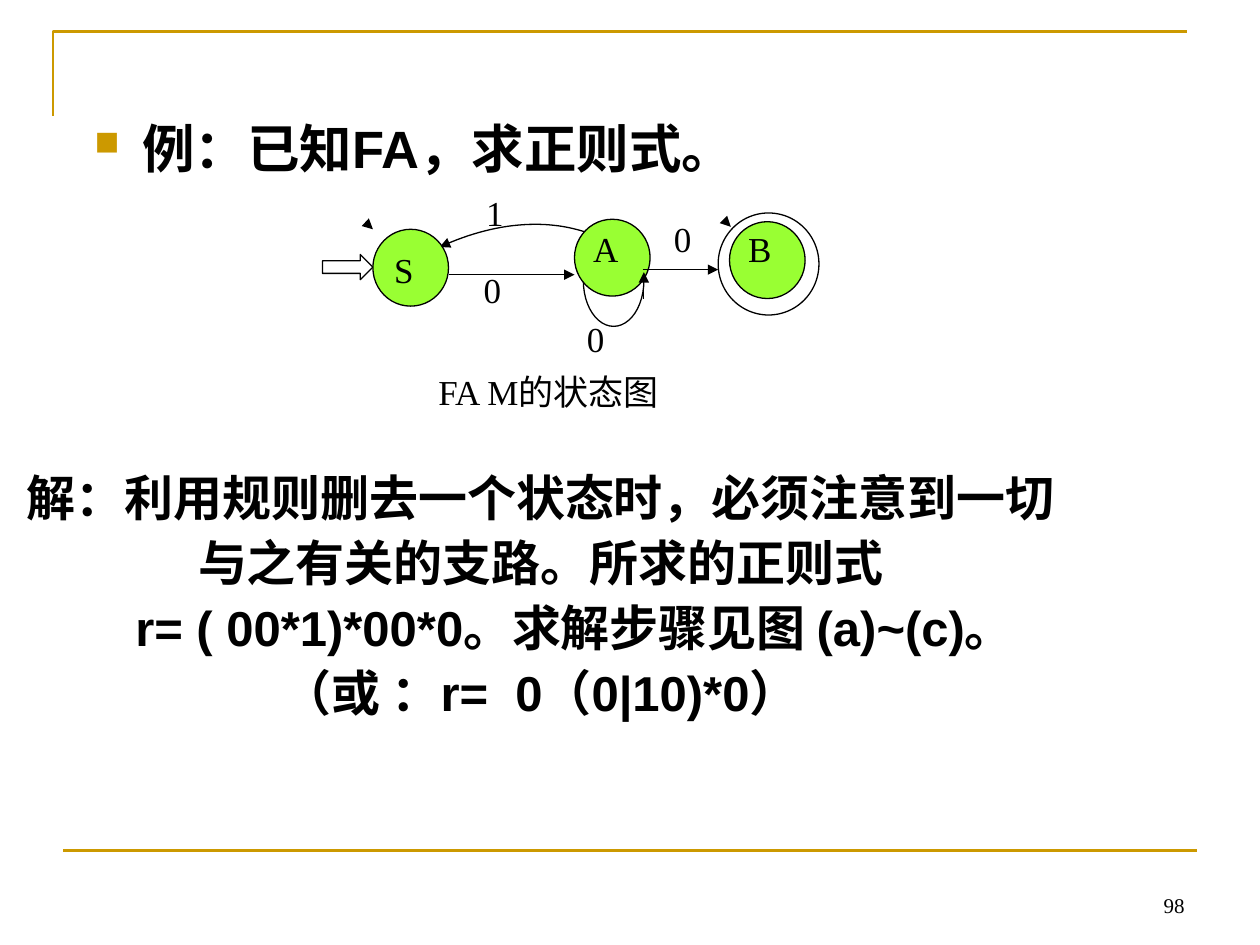
from pptx import Presentation
from pptx.dml.color import RGBColor
from pptx.enum.shapes import MSO_CONNECTOR, MSO_SHAPE
from pptx.enum.text import MSO_ANCHOR, PP_ALIGN
from pptx.oxml.ns import qn
from pptx.util import Inches, Pt
from lxml import etree

STRAIGHT = MSO_CONNECTOR.STRAIGHT
OVAL, BLOCK_ARROW = MSO_SHAPE.OVAL, MSO_SHAPE.RIGHT_ARROW
TOP, MIDDLE, BOTTOM = MSO_ANCHOR.TOP, MSO_ANCHOR.MIDDLE, MSO_ANCHOR.BOTTOM
LEFT, CENTER, RIGHT = PP_ALIGN.LEFT, PP_ALIGN.CENTER, PP_ALIGN.RIGHT
BLACK = RGBColor(0x00, 0x00, 0x00)
WHITE = RGBColor(0xFF, 0xFF, 0xFF)
GOLD = RGBColor(0xCC, 0x99, 0x00)
GREEN = RGBColor(0x99, 0xFF, 0x33)

presentation = Presentation()
presentation.slide_width, presentation.slide_height = Inches(10), Inches(7.5)
slide = presentation.slides.add_slide(presentation.slide_layouts[6])
shapes = slide.shapes
UNIT = presentation.slide_width / 100  # the slide is a grid of 100 columns by 75 rows


def add_text(text, box, size=20, font="Times New Roman", bold=False, align=LEFT,
             anchor=TOP, spacing=None, inset=1):
    """Write one paragraph for each line of text; box is in grid units."""
    frame = shapes.add_textbox(*[int(value * UNIT) for value in box]).text_frame
    frame.word_wrap = True
    frame.vertical_anchor = anchor
    frame.margin_left = frame.margin_right = int(inset * UNIT)
    frame.margin_top = frame.margin_bottom = int(inset / 2 * UNIT)
    for index, line in enumerate(text.split("\n")):
        paragraph = frame.add_paragraph() if index else frame.paragraphs[0]
        paragraph.alignment = align
        paragraph.line_spacing = spacing
        run = paragraph.add_run()
        run.text = line
        run.font.name, run.font.size, run.font.bold = font, Pt(size), bold
        run.font.color.rgb = BLACK
    return frame


def finish(shape, color=BLACK, width=0.75, arrow=False):
    """Set the line, with an arrowhead at its end if wanted, and drop the shadow."""
    shape.line.color.rgb = color
    shape.line.width = Pt(width)
    properties = shape._element.spPr
    if arrow:
        etree.SubElement(properties.find(qn("a:ln")), qn("a:tailEnd"), type="triangle")
    etree.SubElement(properties, qn("a:effectLst"))


# Frame, and the curved transition from A back to S
start, control_1, control_2, end = (48.1, 19.1), (44.4, 17.2), (39.7, 17.4), (34.9, 19.6)
STEPS = 32
curve = []
for step in range(STEPS + 1):
    t = step / STEPS
    curve.append([(1 - t) ** 3 * a + 3 * (1 - t) ** 2 * t * b + 3 * (1 - t) * t ** 2 * c + t ** 3 * d
                  for a, b, c, d in zip(start, control_1, control_2, end)])
corner = [(4.2, 9.2), (4.2, 2.5), (94.2, 2.5)]
for points, color, width, arrow in [(corner, GOLD, 1.5, False), (curve, BLACK, 0.75, True)]:
    points = [(int(x * UNIT), int(y * UNIT)) for x, y in points]
    builder = shapes.build_freeform(*points[0])
    builder.add_line_segments(points[1:], close=False)
    outline = builder.convert_to_shape()
    outline.fill.background()
    finish(outline, color, width, arrow)

# States, from back to front: loop of A, entry arrow, S, A, ring of B, B
for kind, box, fill in [
    (OVAL, (46.3, 18.7, 4.8, 7.2), WHITE),
    (BLOCK_ARROW, (25.6, 20.2, 4, 2), WHITE),
    (OVAL, (29.6, 18.2, 6, 6.1), GREEN),
    (OVAL, (45.6, 17.4, 6, 6.1), GREEN),
    (OVAL, (57, 16.9, 8, 8.1), WHITE),
    (OVAL, (57.9, 17.6, 6, 6.1), GREEN),
]:
    state = shapes.add_shape(kind, *[int(value * UNIT) for value in box])
    state.fill.solid()
    state.fill.fore_color.rgb = fill
    finish(state)

# Bottom rule, transitions, and the two arrowheads touching S and B
for ends, color, width, arrow in [
    ((5, 67.5, 95, 67.5), GOLD, 1.5, False),
    ((51, 21.4, 57, 21.4), BLACK, 0.75, True),
    ((35.6, 21.8, 45.6, 21.8), BLACK, 0.75, True),
    ((51.1, 23.7, 51.1, 21.6), BLACK, 0.75, True),
    ((29.55, 18.15, 29.6, 18.2), BLACK, 0.75, True),
    ((57.95, 17.95, 58, 18), BLACK, 0.75, True),
]:
    line = shapes.add_connector(STRAIGHT, *[int(value * UNIT) for value in ends])
    finish(line, color, width, arrow)

# State names, transition labels and caption
for text, box in [
    ("S", (30.3, 19.2, 6, 6.1)),
    ("A", (46.1, 17.6, 8, 6.1)),
    ("B", (58.4, 17.6, 6, 6.1)),
    ("1", (37.6, 14.7, 6.1, 3)),
    ("0", (37.4, 20.8, 6.2, 3)),
    ("0", (52.5, 16.8, 6.2, 6.1)),
    ("0", (45.6, 24.7, 6.2, 6.1)),
    ("FA M的状态图", (33.8, 28.9, 29.9, 6.5)),
]:
    add_text(text, box)

# Example with its square bullet
example = add_text("例：已知FA，求正则式。", (7.5, 9.2, 90, 49.5),
                   size=30, font="Arial", bold=True, inset=0)
bullet = example.paragraphs[0]._p.get_or_add_pPr()
bullet.set("marL", str(Inches(0.38)))
bullet.set("indent", str(-Inches(0.38)))
bullet_color = etree.SubElement(bullet, qn("a:buClr"))
etree.SubElement(bullet_color, qn("a:srgbClr"), val=str(GOLD))
etree.SubElement(bullet, qn("a:buSzPct"), val="65000")
etree.SubElement(bullet, qn("a:buChar"), char="■")

# Solution, whose second paragraph is moved to the right, and page number
solution = add_text("解：利用规则删去一个状态时，必须注意到一切与之有关的支路。所求的正则式\n"
                    "r= ( 00*1)*00*0。求解步骤见图 (a)~(c)。\n"
                    "（或 ：r=  0（0|10)*0）",
                    (0, 33.6, 85.8, 26.7), size=28, font="Arial", bold=True,
                    align=CENTER, anchor=MIDDLE, spacing=1.1)
solution.paragraphs[1]._p.get_or_add_pPr().set("marL", str(Inches(0.54)))
add_text("98", (71.7, 68.3, 23.3, 5), size=12, align=RIGHT, anchor=BOTTOM)

presentation.save("out.pptx")
